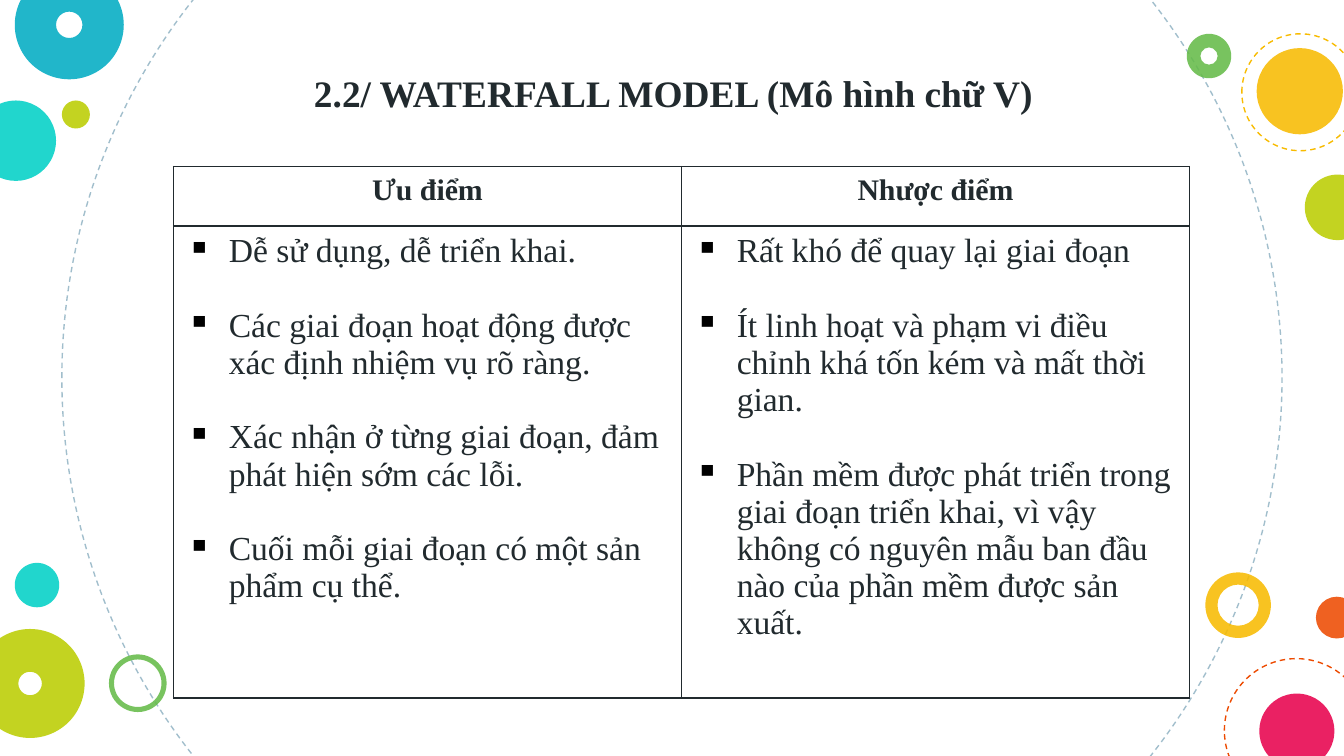
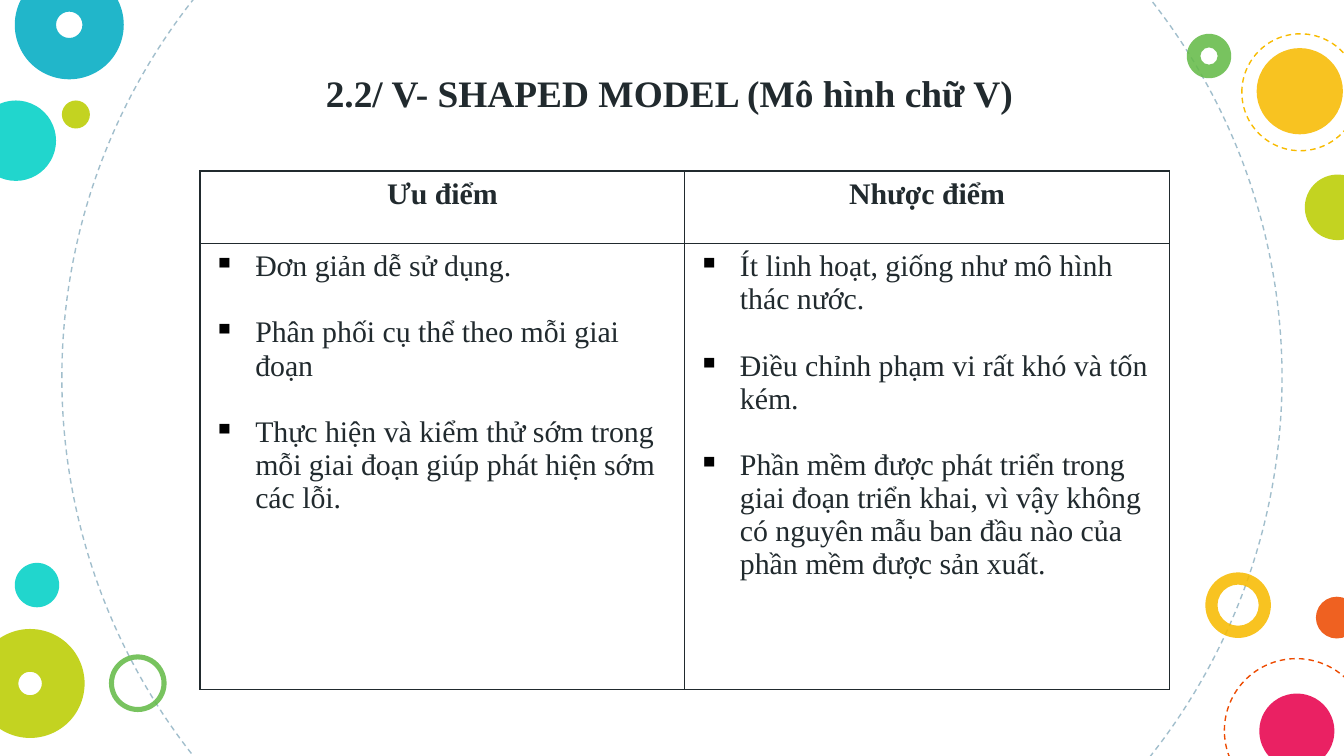
from lxml import etree
from pptx import Presentation
from pptx.dml.color import RGBColor
from pptx.enum.dml import MSO_LINE
from pptx.enum.shapes import MSO_SHAPE
from pptx.enum.text import MSO_AUTO_SIZE, PP_ALIGN
from pptx.oxml.ns import qn
from pptx.util import Cm, Pt

OVAL, RING = MSO_SHAPE.OVAL, MSO_SHAPE.DONUT
DASH = MSO_LINE.DASH
GROW = MSO_AUTO_SIZE.SHAPE_TO_FIT_TEXT
CENTER, LEFT = PP_ALIGN.CENTER, PP_ALIGN.LEFT

INK = RGBColor(0x21, 0x2A, 0x2E)
BLACK = RGBColor(0x00, 0x00, 0x00)
MIST = RGBColor(0xA1, 0xBE, 0xCC)
AQUA = RGBColor(0x00, 0xD1, 0xC6)
GOLD = RGBColor(0xF8, 0xBB, 0x00)
BLUE = RGBColor(0x00, 0xAC, 0xC3)
LIME = RGBColor(0xBB, 0xCD, 0x00)
RUST = RGBColor(0xED, 0x4A, 0x00)
GREEN = RGBColor(0x65, 0xBB, 0x48)
PINK = RGBColor(0xE8, 0x00, 0x4C)
FONT = "Times New Roman"

HEAD = {"size": Pt(20), "bold": True, "name": FONT}
LABEL = {"size": Pt(16), "bold": True, "name": FONT}

DASHED, SOLID = "dashed", "solid"
DOTS = [
    (1.17, -4.39, 23.06, MIST, DASHED),
    (-0.46, 1.9, 1.52, AQUA, SOLID),
    (22.78, 10.82, 1.24, GOLD, 0.186),
    (0.28, -0.56, 2.06, BLUE, 0.379),
    (1.17, 1.9, 0.53, LIME, SOLID),
    (23.14, 12.45, 2.72, RUST, DASHED),
    (2.06, 12.37, 1.09, GREEN, 0.088),
    (24.87, 11.28, 0.79, RUST, SOLID),
    (-0.46, 11.89, 2.06, LIME, 0.392),
    (23.8, 13.11, 1.42, PINK, SOLID),
    (22.43, 0.64, 0.84, GREEN, 0.306),
    (23.75, 0.91, 1.63, GOLD, SOLID),
    (24.66, 3.3, 1.24, LIME, SOLID),
    (23.47, 0.64, 2.21, GOLD, DASHED),
    (0.28, 10.64, 0.84, AQUA, SOLID),
]

LABELS = ["Ưu điểm", "Nhược điểm"]
LAST = ("Phần mềm được phát triển trong giai đoạn triển khai, vì vậy không có "
        "nguyên mẫu ban đầu nào của phần mềm được sản xuất.")
PAGES = [
    {
        "title": "2.2/ WATERFALL MODEL (Mô hình chữ V)",
        "width": 19.1, "left": 3.28, "top": 3.15, "col": 9.6,
        "rows": [1.12, 8.92], "size": 18, "gap": 20,
        "lists": [
            ["Dễ sử dụng, dễ triển khai.",
             "Các giai đoạn hoạt động được xác định nhiệm vụ rõ ràng.",
             "Xác nhận ở từng giai đoạn, đảm phát hiện sớm các lỗi.",
             "Cuối mỗi giai đoạn có một sản phẩm cụ thể."],
            ["Rất khó để quay lại giai đoạn",
             "Ít linh hoạt và phạm vi điều chỉnh khá tốn kém và mất thời gian.",
             LAST],
        ],
    },
    {
        "title": "2.2/ V- SHAPED MODEL (Mô hình chữ V)",
        "width": 18.95, "left": 3.78, "top": 3.23, "col": 9.16,
        "rows": [1.37, 8.43], "size": 16, "gap": 17.7,
        "lists": [
            ["Đơn giản dễ sử dụng.",
             "Phân phối cụ thể theo mỗi giai đoạn",
             "Thực hiện và kiểm thử sớm trong mỗi giai đoạn giúp phát hiện "
             "sớm các lỗi."],
            ["Ít linh hoạt, giống như mô hình thác nước.",
             "Điều chỉnh phạm vi rất khó và tốn kém.",
             LAST],
        ],
    },
]


def write(para, text, style, align):
    run = para.add_run()
    run.text = text
    for key, value in style.items():
        setattr(run.font, key, value)
    run.font.color.rgb = INK
    para.alignment = align


def paint(parent, color):
    fill = etree.SubElement(parent, qn("a:solidFill"))
    etree.SubElement(fill, qn("a:srgbClr"), val=str(color))


deck = Presentation()
deck.slide_width, deck.slide_height = Cm(25.4), Cm(14.29)
blank = deck.slide_layouts[6]
for holder in list(blank.placeholders):
    blank.shapes.element.remove(holder.element)

slides = [deck.slides.add_slide(blank) for page in PAGES]

for left, top, size, color, kind in DOTS:
    form = OVAL if kind in (DASHED, SOLID) else RING
    dot = slides[0].shapes.add_shape(form, Cm(left), Cm(top), Cm(size), Cm(size))
    dot.shadow.inherit = False
    if kind == DASHED:
        dot.fill.background()
        dot.line.color.rgb = color
        dot.line.width = Pt(0.75)
        dot.line.dash_style = DASH
    else:
        dot.line.fill.background()
        dot.fill.solid()
        dot.fill.fore_color.rgb = color
        tint = next(dot.element.iter(qn("a:srgbClr")))
        etree.SubElement(tint, qn("a:alpha"), val="87000")
    if form == RING:
        dot.adjustments[0] = kind
    blank.shapes.element.append(dot.element)

for slide, page in zip(slides, PAGES):
    frame = slide.shapes.add_table(
        2, 2, Cm(page["left"]), Cm(page["top"]),
        Cm(2 * page["col"]), Cm(sum(page["rows"])))
    table = frame.table
    table.first_row = table.horz_banding = False
    for row, height in zip(table.rows, page["rows"]):
        row.height = Cm(height)
    body = {"size": Pt(page["size"]), "bold": False, "name": FONT}

    for col, items in enumerate(page["lists"]):
        table.columns[col].width = Cm(page["col"])
        top, cell = table.cell(0, col), table.cell(1, col)
        top.fill.background()
        cell.fill.background()
        write(top.text_frame.paragraphs[0], LABELS[col], LABEL, CENTER)
        for spot, item in enumerate(items):
            text = cell.text_frame
            para = text.add_paragraph() if spot else text.paragraphs[0]
            write(para, item, body, LEFT)
            para.space_before = Pt(page["gap"] if spot else 0)
            props = para._p.get_or_add_pPr()
            props.set("marL", str(Cm(0.79)))
            props.set("indent", str(-Cm(0.79)))
            tint = etree.SubElement(props, qn("a:buClr"))
            etree.SubElement(tint, qn("a:srgbClr"), val=str(BLACK))
            etree.SubElement(props, qn("a:buChar"), char="▪")

    for props in frame.element.iter(qn("a:tcPr")):
        for spot, side in enumerate("LRTB"):
            edge = etree.Element(qn("a:ln" + side), w=str(Pt(1)))
            paint(edge, INK)
            props.insert(spot, edge)

    title = slide.shapes.add_textbox(
        Cm(3.18), Cm(1.12), Cm(page["width"]), Cm(1.12))
    text = title.text_frame
    text.word_wrap = True
    text.auto_size = GROW
    para = text.paragraphs[0]
    para.line_spacing = 1.1
    write(para, page["title"], HEAD, CENTER)

deck.save("out.pptx")
